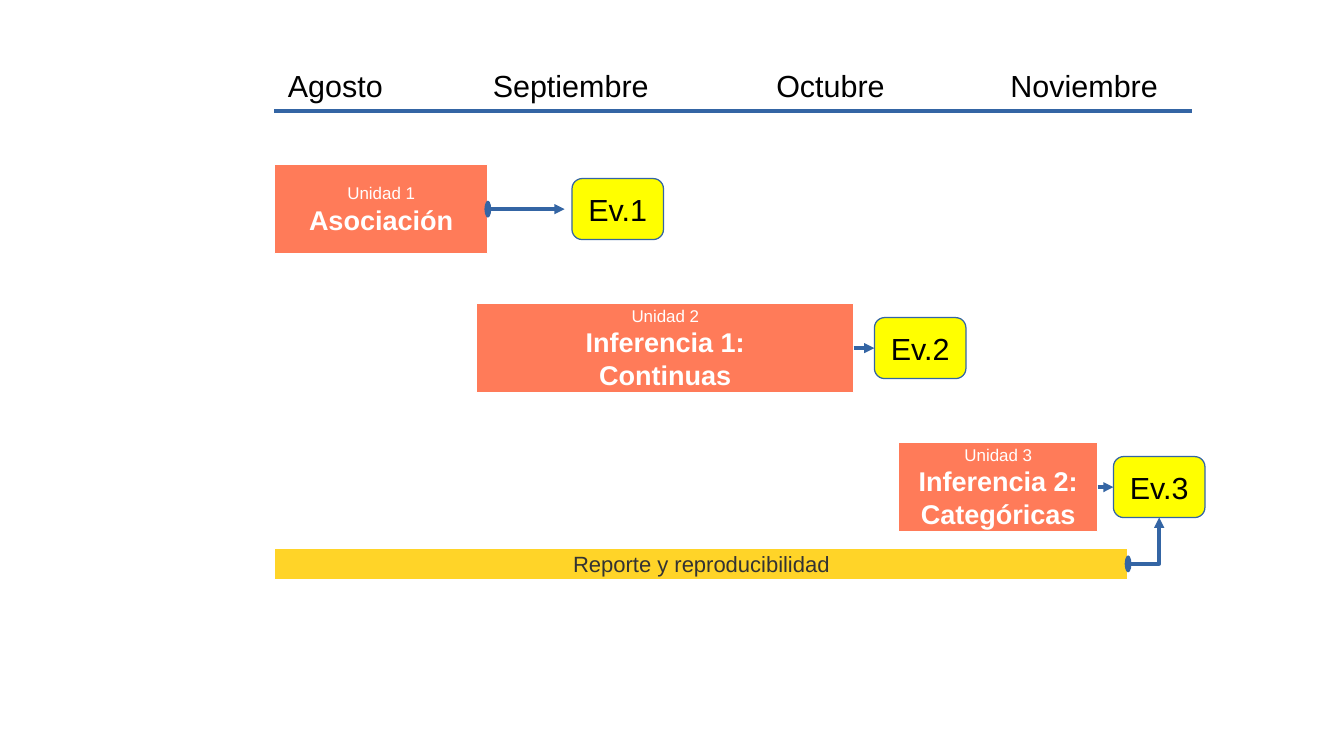
from lxml.etree import SubElement
from pptx import Presentation
from pptx.dml.color import RGBColor
from pptx.enum.shapes import MSO_CONNECTOR as Link, MSO_SHAPE as Shape
from pptx.enum.text import MSO_ANCHOR as Anchor, MSO_AUTO_SIZE as Fit, PP_ALIGN as Align
from pptx.oxml.ns import qn
from pptx.util import Inches, Pt

COLORS = {"unit": "FF7B59", "exam": "FFFF00", "report": "FFD428", "line": "3465A4",
          "white": "FFFFFF", "black": "000000", "dark": "333333"}
FORMATS = {
    "month": ({"size": Pt(18), "bold": False}, "black"),
    "exam": ({"size": Pt(18), "bold": False}, "black"),
    "number": ({"size": Pt(10), "bold": False}, "white"),
    "topic": ({"size": Pt(16), "bold": True}, "white"),
    "report": ({"size": Pt(13), "bold": False}, "dark"),
}
MONTHS = [("Agosto", 2), ("Septiembre", 3.93), ("Octubre", 6.06), ("Noviembre", 8.14)]
UNITS = [
    ("Unidad 1", ["Asociación"], 2.25, 1.75, "Ev.1", 4.69),
    ("Unidad 2", ["Inferencia 1:", "Continuas"], 3.91, 3.09, "Ev.2", 7.17),
    ("Unidad 3", ["Inferencia 2: Categóricas"], 7.37, 1.63, "Ev.3", 9.13),
]
REPORT = "Reporte y reproducibilidad"
WIDTH, HEIGHT = 11.02, 6.2
LEFT, RIGHT, RULE_Y = 2.25, 9.77, 0.91
MONTH_TOP, MONTH_W, MONTH_H = 0.5, 1.5, 0.38
ROW_TOP, ROW_STEP, UNIT_H = 1.35, 1.14, 0.73
EXAM_W, EXAM_H = 0.75, 0.5
REPORT_TOP, REPORT_W, REPORT_H = 4.5, 7, 0.25
FIRST_ARROW_END = 4.63


def color(name):
    return RGBColor.from_string(COLORS[name])


def write(frame, lines):
    frame.word_wrap = True
    for index, (text, style) in enumerate(lines):
        para = frame.paragraphs[0] if index == 0 else frame.add_paragraph()
        para.alignment = Align.CENTER
        span = para.add_run()
        span.text = text
        values, ink = FORMATS[style]
        for name, value in {"name": "Arial", **values}.items():
            setattr(span.font, name, value)
        span.font.color.rgb = color(ink)


def add_box(page, kind, place, fill, line, lines):
    box = page.shapes.add_shape(kind, *map(Inches, place))
    box.shadow.inherit = False
    box.fill.solid()
    box.fill.fore_color.rgb = color(fill)
    box.line.color.rgb = color(line)
    box.line.width = Pt(0)
    box.text_frame.vertical_anchor = Anchor.MIDDLE
    write(box.text_frame, lines)
    return box


def add_link(page, kind, start, end, oval=False, arrow=True):
    link = page.shapes.add_connector(kind, *map(Inches, (*start, *end)))
    link.line.color.rgb = color("line")
    link.line.width = Pt(0)
    outline = link.line._get_or_add_ln()
    if oval:
        SubElement(outline, qn("a:headEnd"), type="oval", w="lg", len="sm")
    if arrow:
        SubElement(outline, qn("a:tailEnd"), type="triangle")
    SubElement(link._element.spPr, qn("a:effectLst"))
    return link


def add_unit(page, row, number, topics, left, width, exam_name, exam_left):
    top = ROW_TOP + row * ROW_STEP
    middle = top + UNIT_H / 2
    unit = add_box(page, Shape.RECTANGLE, (left, top, width, UNIT_H), "unit", "white",
                   [(number, "number")] + [(topic, "topic") for topic in topics])
    exam = add_box(page, Shape.ROUNDED_RECTANGLE,
                   (exam_left, middle - EXAM_H / 2, EXAM_W, EXAM_H),
                   "exam", "line", [(exam_name, "exam")])
    first = row == 0
    arrow_end = FIRST_ARROW_END if first else exam_left
    link = add_link(page, Link.STRAIGHT, (left + width, middle), (arrow_end, middle), oval=first)
    link.begin_connect(unit, 3)
    if not first:
        link.end_connect(exam, 1)
    return exam


def add_report(page, exam):
    bar = add_box(page, Shape.RECTANGLE, (LEFT, REPORT_TOP, REPORT_W, REPORT_H),
                  "report", "white", [(REPORT, "report")])
    start = (LEFT + REPORT_W, REPORT_TOP + REPORT_H / 2)
    end = ((exam.left + exam.width / 2) / Inches(1), (exam.top + exam.height) / Inches(1))
    link = add_link(page, Link.ELBOW, start, end, oval=True)
    link._element.spPr.find(qn("a:prstGeom")).set("prst", "bentConnector2")
    link.begin_connect(bar, 3)
    link.end_connect(exam, 2)


def main():
    deck = Presentation()
    deck.slide_width, deck.slide_height = Inches(WIDTH), Inches(HEIGHT)
    page = deck.slides.add_slide(deck.slide_layouts[6])
    for month, left in MONTHS:
        label = page.shapes.add_textbox(*map(Inches, (left, MONTH_TOP, MONTH_W, MONTH_H)))
        write(label.text_frame, [(month, "month")])
        label.text_frame.auto_size = Fit.SHAPE_TO_FIT_TEXT
    add_link(page, Link.STRAIGHT, (LEFT, RULE_Y), (RIGHT, RULE_Y), arrow=False)
    exams = [add_unit(page, row, *unit) for row, unit in enumerate(UNITS)]
    add_report(page, exams[-1])
    deck.save("out.pptx")


if __name__ == "__main__":
    main()
